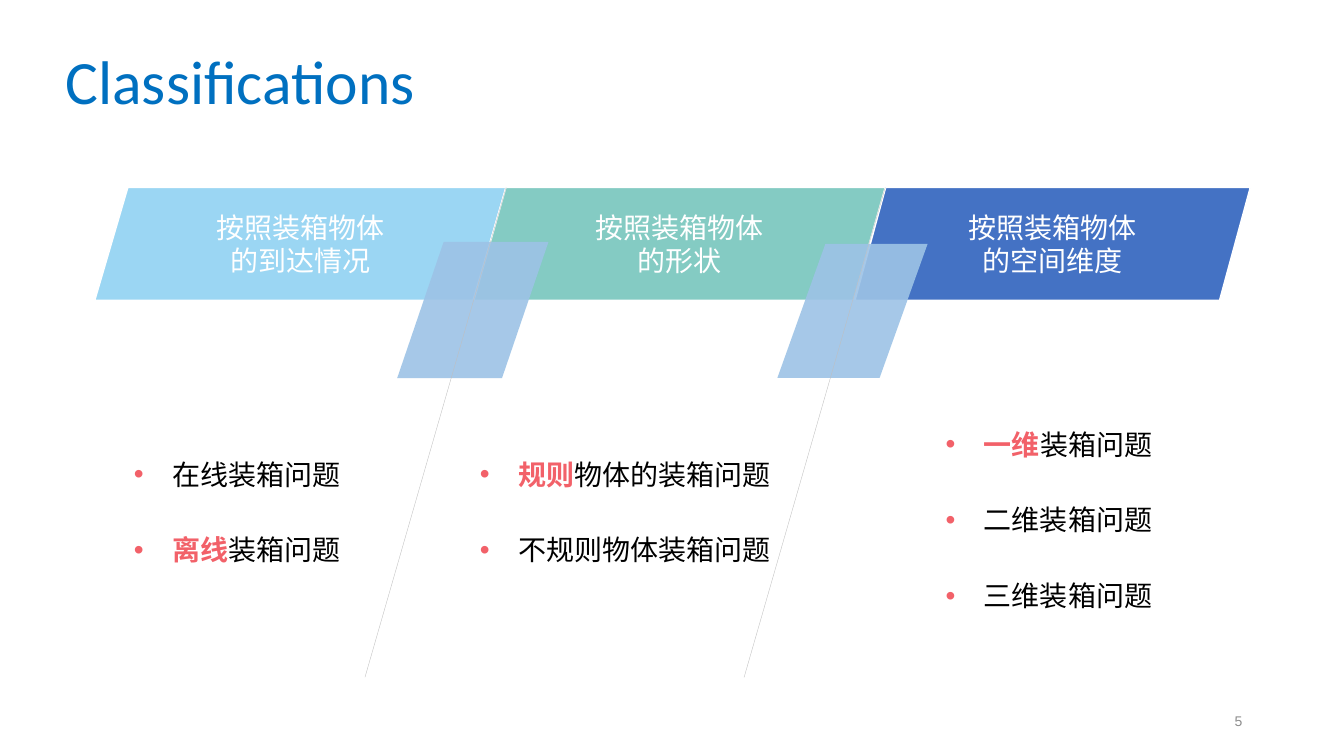
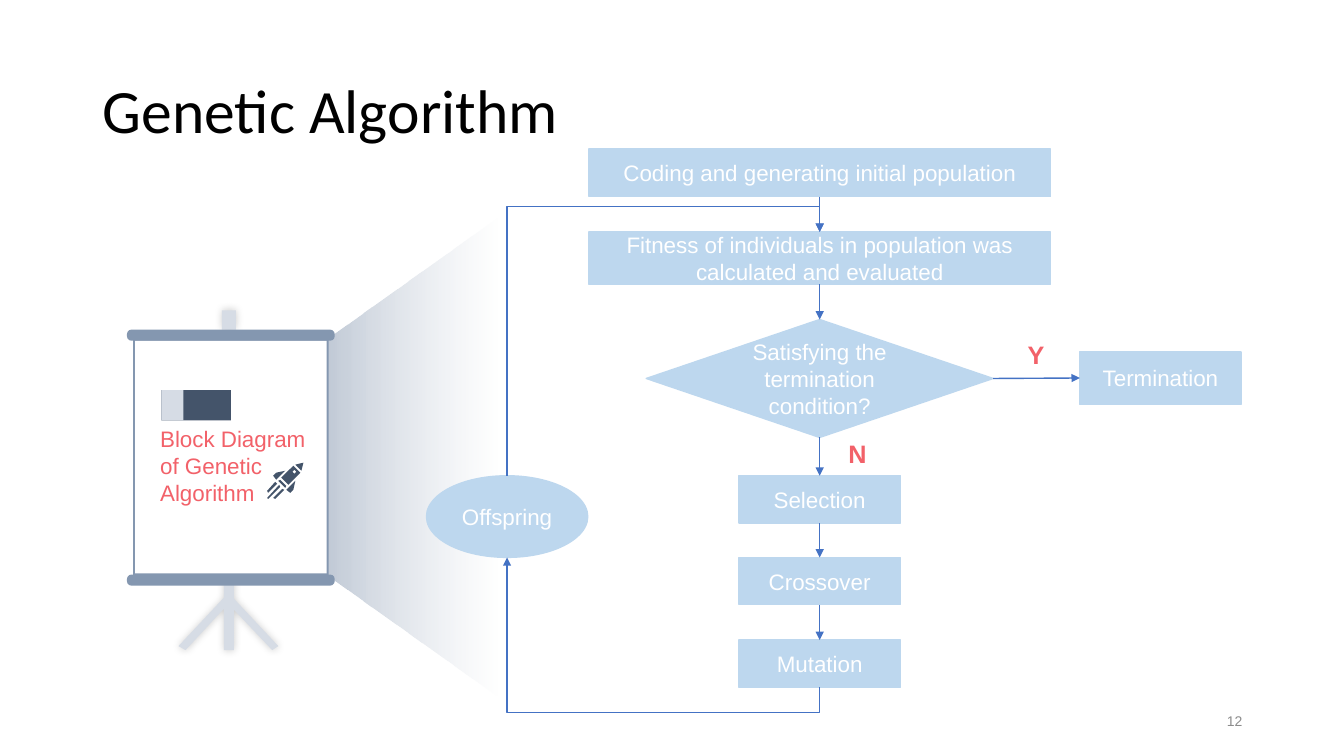
from lxml.etree import SubElement
from pptx import Presentation
from pptx.dml.color import RGBColor
from pptx.enum.shapes import MSO_CONNECTOR as Link, MSO_SHAPE as Preset, MSO_SHAPE_TYPE as ShapeType
from pptx.enum.text import MSO_ANCHOR as Anchor, MSO_AUTO_SIZE as AutoSize, PP_ALIGN as Align
from pptx.oxml.ns import qn
from pptx.util import Inches, Pt

hex_color = RGBColor.from_string
WHITE, BLACK, GREY = "FFFFFF", "000000", "8C8C8C"
ACCENT, BLUE, PALE_BLUE, MID_BLUE = "F26169", "4472C4", "BDD7EE", "9DC3E6"
SLATE, STEEL, MIST = "44546A", "8497B0", "D6DCE5"
HUNDREDTH = Inches(0.01)


def add_object(slide, kind, at=None, fill=None, line=None, adjust=None, opacity=None):
    """Add a preset shape, a text box (kind None) or an outline (kind a list of
    closed contours in hundredths of an inch)."""
    if kind is None:
        return slide.shapes.add_textbox(*map(Inches, at))
    if isinstance(kind, list):
        builder = slide.shapes.build_freeform(*kind[0][0], scale=HUNDREDTH)
        for number, contour in enumerate(kind):
            if number:
                builder.move_to(*contour[0])
            builder.add_line_segments(contour[1:], close=True)
        shape = builder.convert_to_shape()
    else:
        shape = slide.shapes.add_shape(kind, *map(Inches, at))
    if adjust is not None:
        shape.adjustments[0] = adjust
    if fill:
        shape.fill.solid()
        shape.fill.fore_color.rgb = hex_color(fill)
    if opacity:
        SubElement(next(shape._element.spPr.iter(qn("a:srgbClr"))), qn("a:alpha"), val=str(opacity * 1000))
    if line:
        shape.line.color.rgb = hex_color(line)
        shape.line.width = Pt(1)
    else:
        shape.line.fill.background()
    shape.shadow.inherit = False
    return shape


def write(shape, text, size=16, color=BLACK, font="Arial", bold=False, align=Align.LEFT,
          anchor=Anchor.MIDDLE, wrap=True, spacing=None, after=0, bullet=False):
    """Fill a shape with one paragraph a line; words between asterisks are highlighted."""
    frame = shape.text_frame
    frame.auto_size = AutoSize.NONE
    frame.word_wrap = wrap
    frame.vertical_anchor = anchor
    for number, line in enumerate(text.split("\n")):
        paragraph = frame.add_paragraph() if number else frame.paragraphs[0]
        paragraph.alignment = align
        paragraph.line_spacing = spacing
        paragraph.space_before, paragraph.space_after = Pt(0), Pt(after)
        if bullet:
            properties = paragraph._p.get_or_add_pPr()
            properties.set("marL", str(Inches(0.88)))
            properties.set("indent", str(Inches(-0.38)))
            SubElement(SubElement(properties, qn("a:buClr")), qn("a:srgbClr"), val=ACCENT)
            SubElement(properties, qn("a:buFont"), typeface="Arial")
            SubElement(properties, qn("a:buChar"), char="•")
        for part, words in enumerate(line.split("*")):
            if words:
                run = paragraph.add_run()
                run.text = words
                run.font.name, run.font.size = font, Pt(size)
                run.font.bold = bold or part % 2 == 1
                run.font.color.rgb = hex_color(ACCENT if part % 2 else color)


presentation = Presentation()
presentation.slide_width, presentation.slide_height = Inches(13.33), Inches(7.5)

slides = []
for title, title_color, at, page in [
    ("Classifications", "0070C0", (0.55, 0.28, 11.87, 1.12), "5"),
    ("Genetic Algorithm", BLACK, (0.92, 0.4, 11.5, 1.45), "12"),
]:
    slide = presentation.slides.add_slide(presentation.slide_layouts[5])
    heading = slide.shapes.title
    heading.left, heading.top, heading.width, heading.height = map(Inches, at)
    write(heading, title, size=44, color=title_color, font="Calibri", spacing=0.9)
    write(add_object(slide, None, (9.42, 6.95, 3, 0.4)), page, size=10, color=GREY, align=Align.RIGHT)
    slides.append(slide)
classification, algorithm = slides

# Classification tabs, folds between them, and their lists
tab_top, tab_height = 1.86, 1.12
for left, width, slant, fill, text in [
    (0.94, 4.08, 0.293, "9BD6F3", "按照装箱物体\n的到达情况"),
    (8.48, 3.92, 0.272, BLUE, "按照装箱物体\n的空间维度"),
    (4.7, 4.08, 0.283, "84CBC3", "按照装箱物体\n的形状"),
]:
    tab = add_object(classification, Preset.PARALLELOGRAM, (left, tab_top, width, tab_height),
                     fill, WHITE, slant)
    write(tab, text, size=20, color=WHITE, align=Align.CENTER)

for at, slant in [((3.94, 2.4, 1.5, 1.35), 0.341), ((7.71, 2.42, 1.49, 1.33), 0.358)]:
    add_object(classification, Preset.PARALLELOGRAM, at, MID_BLUE, adjust=slant, opacity=90)

for right in (5.02, 8.78):
    divider = classification.shapes.add_connector(
        Link.STRAIGHT, *map(Inches, (right, tab_top, right - 1.4, 6.72)))
    divider.line.color.rgb = hex_color("BFBFBF")
    divider.line.width = Pt(0.25)

for at, text in [
    ((0.73, 4.35, 2.89, 1.12), "在线装箱问题\n*离线*装箱问题"),
    ((4.16, 4.2, 3.45, 1.42), "*规则*物体的装箱问题\n不规则物体装箱问题"),
    ((8.78, 3.94, 2.89, 2.1), "*一维*装箱问题\n二维装箱问题\n三维装箱问题"),
]:
    write(add_object(classification, None, at), text, size=20, wrap=False, spacing=2, after=6, bullet=True)

# Light beam from the board
beam = add_object(algorithm, Preset.TRAPEZOID, (1.69, 3.66, 4.75, 1.74), adjust=0.713)
beam.rotation = 270
beam.fill.gradient()
beam.fill.gradient_angle = 270
for stop, color in zip(beam.fill.gradient_stops, ("C0C9D6", "D8DEE6")):
    stop.color.rgb = hex_color(color)
*_, clear_end = beam._element.spPr.iter(qn("a:srgbClr"))
SubElement(clear_end, qn("a:alpha"), val="0")

# Flowchart steps, centred on the axis of their column
axis, loop_axis, exit_axis = 8.13, 5.03, 11.51
steps = {}
for name, text, kind, middle, top, width, height in [
    ("coding", "Coding and generating initial population", Preset.FLOWCHART_PROCESS, axis, 1.48, 4.58, 0.47),
    ("fitness", "Fitness of individuals in population was calculated and evaluated",
     Preset.FLOWCHART_PROCESS, axis, 2.3, 4.58, 0.52),
    ("decision", "Satisfying the termination condition?", Preset.FLOWCHART_DECISION, axis, 3.17, 3.44, 1.17),
    ("selection", "Selection", Preset.FLOWCHART_PROCESS, axis, 4.72, 1.6, 0.47),
    ("crossover", "Crossover", Preset.FLOWCHART_PROCESS, axis, 5.53, 1.6, 0.47),
    ("mutation", "Mutation", Preset.FLOWCHART_PROCESS, axis, 6.35, 1.6, 0.47),
    ("termination", "Termination", Preset.FLOWCHART_PROCESS, exit_axis, 3.49, 1.6, 0.52),
    ("offspring", "Offspring", Preset.OVAL, loop_axis, 4.72, 1.6, 0.81),
]:
    steps[name] = add_object(algorithm, kind, (middle - width / 2, top, width, height), PALE_BLUE, PALE_BLUE)
    write(steps[name], text, color=WHITE, align=Align.CENTER)

TOP, LEFT, BOTTOM, RIGHT = range(4)
column = ["coding", "fitness", "decision", "selection", "crossover", "mutation"]
routes = [(Link.STRAIGHT, start, BOTTOM, end, TOP) for start, end in zip(column, column[1:])]
routes += [
    (Link.STRAIGHT, "decision", RIGHT, "termination", LEFT),
    (Link.ELBOW, "mutation", BOTTOM, "offspring", BOTTOM),
    (Link.ELBOW, "offspring", TOP, "fitness", TOP),
]
for kind, start, start_side, end, end_side in routes:
    arrow = algorithm.shapes.add_connector(kind, 0, 0, 0, 0)
    arrow.begin_connect(steps[start], start_side)
    arrow.end_connect(steps[end], end_side)
    arrow.line.color.rgb = hex_color(BLUE)
    arrow.line.width = Pt(1)
    properties = arrow._element.spPr
    SubElement(properties.find(qn("a:ln")), qn("a:tailEnd"), type="triangle")
    if kind == Link.STRAIGHT:
        continue
    # An elbow that leaves vertically is a horizontal one turned by 90 degrees
    across, rise = abs(arrow.end_x - arrow.begin_x), abs(arrow.end_y - arrow.begin_y)
    center_x, center_y = (arrow.begin_x + arrow.end_x) // 2, (arrow.begin_y + arrow.end_y) // 2
    arrow.left, arrow.top = center_x - rise // 2, center_y - across // 2
    arrow.width, arrow.height = rise, across
    upward = start_side == TOP
    frame = properties.find(qn("a:xfrm"))
    for key, value in (("rot", "5400000"), ("flipH", "1"), ("flipV", "1" if upward else "0")):
        frame.set(key, value)
    overshoot = Inches(0.25) / rise
    bend = 1 + overshoot if upward else -overshoot
    guides = properties.find(qn("a:prstGeom")).get_or_add_avLst()
    SubElement(guides, qn("a:gd"), name="adj1", fmla=f"val {round(bend * 100000)}")
    if not upward:
        # The bottom of an ellipse is its connection site 4
        next(arrow._element.iter(qn("a:endCxn"))).set("idx", "4")

for letter, left, top in [("Y", 10.03, 3.29), ("N", 8.26, 4.27)]:
    write(add_object(algorithm, None, (left, top, 0.49, 0.45)), letter, size=18, color=ACCENT,
          bold=True, align=Align.CENTER)

# Presentation board
stand = add_object(algorithm, [
    [(220, 308), (234, 308), (234, 327), (220, 327)],
    [(222, 544), (232, 544), (232, 594), (276, 641), (270, 645), (232, 605), (232, 645),
     (222, 645), (222, 604), (184, 645), (177, 641), (222, 593)],
], fill=MIST)
shadow = SubElement(stand._element.spPr.find(qn("a:effectLst")), qn("a:outerShdw"),
                    blurRad=str(Pt(6)), dist="0", dir="13500000", algn="ctr", rotWithShape="0")
SubElement(SubElement(shadow, qn("a:srgbClr"), val=BLACK), qn("a:alpha"), val="20000")

add_object(algorithm, Preset.RECTANGLE, (1.32, 3.33, 1.94, 2.42), STEEL)
add_object(algorithm, Preset.RECTANGLE, (1.34, 3.38, 1.9, 2.31), WHITE)
for top in (3.27, 5.7):
    add_object(algorithm, Preset.ROUNDED_RECTANGLE, (1.26, top, 2.06, 0.11), STEEL, adjust=0.4)
add_object(algorithm, Preset.RECTANGLE, (1.6, 3.87, 0.69, 0.3), SLATE)
add_object(algorithm, Preset.RECTANGLE, (1.6, 3.87, 0.22, 0.3), MIST)
add_object(algorithm, [
    [(280, 485), (282, 486), (273, 495), (271, 494)],
    [(277, 481), (278, 483), (266, 495), (265, 494)],
    [(273, 478), (275, 480), (266, 489), (265, 487)],
    [(293, 477), (291, 486), (288, 489), (284, 486)],
    [(278, 476), (284, 482), (283, 484), (276, 477)],
    [(283, 467), (274, 476), (271, 472), (274, 469)],
    [(292, 466), (290, 468), (292, 470), (294, 468)],
    [(291, 462), (298, 469), (286, 481), (279, 474)],
    [(301, 459), (299, 467), (293, 461)],
], fill=SLATE)
write(add_object(algorithm, None, (1.49, 4.17, 1.65, 0.91)), "Block Diagram of Genetic Algorithm",
      color=ACCENT, anchor=Anchor.TOP)

for slide in slides:
    for shape in slide.shapes:
        if shape.shape_type == ShapeType.LINE:
            SubElement(shape._element.spPr, qn("a:effectLst"))

presentation.save("out.pptx")
